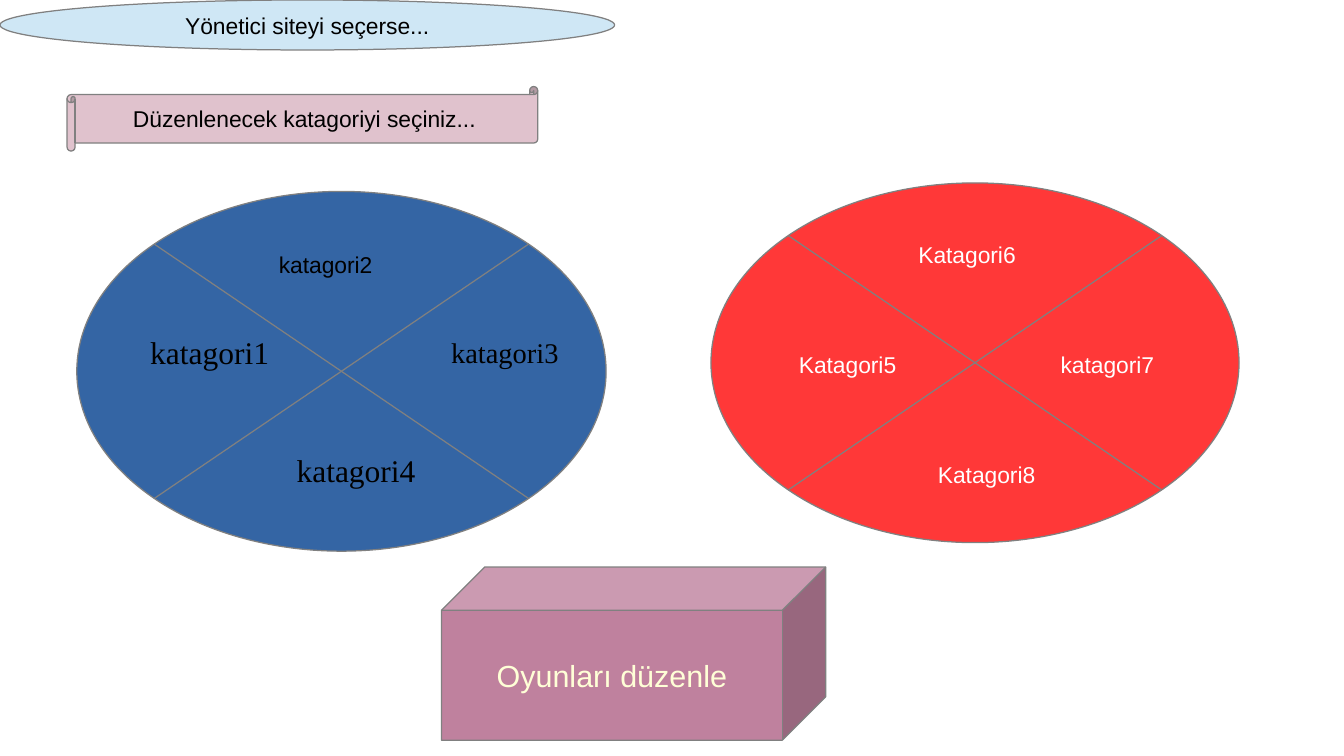
"""Builds the category selection slide with two four-part wheels."""
from pptx import Presentation
from pptx import util as u
from pptx.dml.color import RGBColor
from pptx.enum import shapes, text

BLACK = RGBColor(0x00, 0x00, 0x00)
WHITE = RGBColor(0xFF, 0xFF, 0xFF)
CREAM = RGBColor(0xFF, 0xFF, 0xD7)
GRAY = RGBColor(0x80, 0x80, 0x80)
SKY = RGBColor(0xCF, 0xE7, 0xF5)
BLUE = RGBColor(0x34, 0x65, 0xA4)
RED = RGBColor(0xFF, 0x38, 0x38)
PINK = RGBColor(0xE0, 0xC2, 0xCD)
MAUVE = RGBColor(0xBF, 0x81, 0x9E)
SANS, SERIF = "Arial", "Times New Roman"
KIND = shapes.MSO_SHAPE

WHEELS = [
    ((0.63, 1.57, 4.34, 2.95), BLUE, BLACK, [
        ("katagori2", 2.67, 2.17, SANS, 13.5),
        ("katagori1", 1.72, 2.89, SERIF, 18.6),
        ("katagori3", 4.14, 2.89, SERIF, 16.8),
        ("katagori4", 2.92, 3.85, SERIF, 18.6),
    ]),
    ((5.83, 1.5, 4.33, 2.95), RED, WHITE, [
        ("Katagori6", 7.93, 2.09, SANS, 13.5),
        ("Katagori5", 6.95, 2.99, SANS, 13.5),
        ("katagori7", 9.08, 2.99, SANS, 13.5),
        ("Katagori8", 8.09, 3.89, SANS, 13.5),
    ]),
]
BANNERS = [
    ("Yönetici siteyi seçerse...", KIND.OVAL, (0, 0, 5.04, 0.41), SKY, BLACK, 13.5),
    ("Düzenlenecek katagoriyi seçiniz...", KIND.HORIZONTAL_SCROLL,
     (0.55, 0.71, 3.86, 0.53), PINK, BLACK, 13.5),
    ("Oyunları düzenle", KIND.CUBE, (3.62, 4.65, 3.15, 1.42), MAUVE, CREAM, 18),
]
LABEL_WIDTH, LABEL_HEIGHT = 1.3, 0.3


def write(frame, words, font_name, size, color):
    frame.vertical_anchor = text.MSO_ANCHOR.MIDDLE
    line = frame.paragraphs[0]
    line.alignment = text.PP_ALIGN.CENTER
    run = line.add_run()
    run.text = words
    run.font.name = font_name
    run.font.size = u.Pt(size)
    run.font.color.rgb = color


def add_figure(slide, kind, place, fill):
    figure = slide.shapes.add_shape(kind, *map(u.Inches, place))
    figure.shadow.inherit = False
    figure.fill.solid()
    figure.fill.fore_color.rgb = fill
    figure.line.color.rgb = GRAY
    figure.line.width = u.Pt(0)
    return figure


def add_label(slide, words, center_x, center_y, font_name, size, color):
    place = (center_x - LABEL_WIDTH / 2, center_y - LABEL_HEIGHT / 2,
             LABEL_WIDTH, LABEL_HEIGHT)
    frame = slide.shapes.add_textbox(*map(u.Inches, place)).text_frame
    frame.margin_left = frame.margin_right = 0
    frame.margin_top = frame.margin_bottom = 0
    frame.word_wrap = True
    write(frame, words, font_name, size, color)


def main():
    deck = Presentation()
    deck.slide_width, deck.slide_height = u.Inches(11.02), u.Inches(6.2)
    slide = deck.slides.add_slide(deck.slide_layouts[6])
    for place, fill, color, categories in WHEELS:
        add_figure(slide, KIND.FLOWCHART_SUMMING_JUNCTION, place, fill)
        for category in categories:
            add_label(slide, *category, color)
    for words, kind, place, fill, color, size in BANNERS:
        banner = add_figure(slide, kind, place, fill)
        banner.text_frame.word_wrap = False
        write(banner.text_frame, words, SANS, size, color)
    deck.save("out.pptx")


if __name__ == "__main__":
    main()
